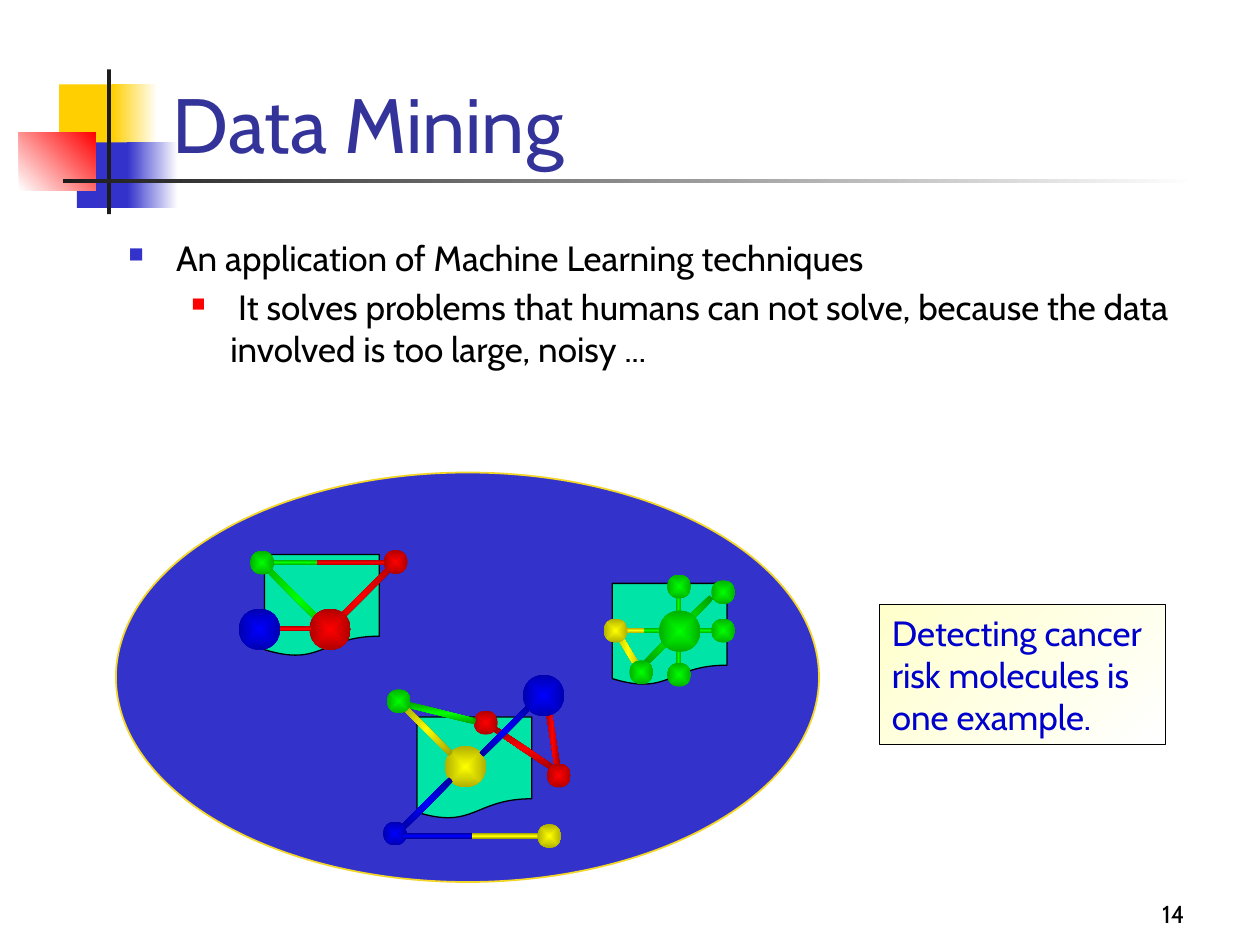
from dataclasses import dataclass

import lxml.etree
import pptx
import pptx.dml.color
import pptx.enum.shapes
import pptx.enum.text
import pptx.oxml.ns
import pptx.util

COLUMNS, ROWS = 100, 75
SHAPES = pptx.enum.shapes.MSO_SHAPE
ALIGN = pptx.enum.text.PP_ALIGN
ANCHOR = pptx.enum.text.MSO_ANCHOR


@dataclass(frozen=True)
class Theme:
    font: str = "Cabin"
    title_size: int = 44
    text_size: int = 20
    number_size: int = 14
    title: str = "333399"
    text: str = "000000"
    caption: str = "0000CC"
    white: str = "FFFFFF"
    cream: str = "FFFFCC"
    yellow: str = "FFCF01"
    blue: str = "3333CC"
    red: str = "FF0000"
    rule: str = "1C1C1C"
    oval_line: str = "F4D628"
    sheet: str = "00E4A8"


# Bright colour, dark edge of an atom, dark edge of a bond
ELEMENTS = {
    "red": ("FF0000", "AF0000", "9F0000"),
    "green": ("00FF00", "00AF00", "009F00"),
    "blue": ("0000FF", "0000AF", "00009F"),
    "yellow": ("FFFF00", "AFAF00", "9F9F00"),
}
SMALL, BIG, BOND_WIDTH = 1.9, 3.3, 0.45

# Each molecule: the sheet's corner, then parts from back to front.
# Atom: element, centre x, centre y, diameter.
# Bond: element, centre x, centre y, length, angle.
MOLECULES = [
    ((33.1, 56.9), [
        ("red", 41.55, 59.4, 5.5, 34), ("red", 38.55, 57.35, SMALL),
        ("red", 43.85, 58.4, 5.5, 81), ("yellow", 40.15, 66.35, 5.5, 0),
        ("yellow", 36.95, 60.85, BIG), ("blue", 40.15, 57.95, 5.5, 135),
        ("green", 35.05, 56.6, 5.5, 14), ("blue", 43.15, 55.2, BIG),
        ("blue", 33.85, 63.8, 5.5, 135), ("blue", 31.35, 66.15, SMALL),
        ("blue", 34.75, 66.35, 5.5, 0), ("yellow", 43.6, 66.35, SMALL),
        ("yellow", 33.85, 57.9, 5.5, 45), ("green", 31.65, 55.65, SMALL),
        ("red", 44.35, 61.55, SMALL),
    ]),
    ((21, 44), [
        ("red", 28.5, 47.55, 9.6, 135), ("green", 23.65, 47.55, 9.9, 45),
        ("green", 26.15, 44.65, 8.9, 0), ("red", 26.2, 49.95, BIG),
        ("red", 22.05, 49.9, 5.3, 0), ("blue", 20.6, 49.95, BIG),
        ("red", 31.4, 44.6, SMALL), ("red", 27.85, 44.65, 5.3, 0),
        ("green", 20.8, 44.65, SMALL),
    ]),
    ((48.6, 46.3), [
        ("yellow", 49.85, 51.65, 5.1, 58.7), ("green", 53.85, 50.05, 5.5, 0),
        ("green", 53.8, 50.05, 7.5, 135), ("green", 53.85, 50.05, 5.5, 90),
        ("green", 57.4, 47, SMALL), ("green", 57.4, 50.05, SMALL),
        ("green", 53.9, 53.55, SMALL), ("green", 53.9, 46.55, SMALL),
        ("green", 53.95, 50.1, BIG), ("green", 50.9, 53.35, SMALL),
        ("yellow", 50.3, 50.05, 1.6, 0), ("yellow", 48.85, 50.05, SMALL),
    ]),
]


def rgb(colour):
    return pptx.dml.color.RGBColor.from_string(colour)


def add_node(parent, tag, **attributes):
    node = lxml.etree.SubElement(parent, pptx.oxml.ns.qn(tag))
    for name, value in attributes.items():
        node.set(name, str(value))
    return node


class Page:
    def __init__(self, deck, theme):
        self.theme = theme
        self.column = deck.slide_width / COLUMNS
        self.row = deck.slide_height / ROWS
        self.slide = deck.slides.add_slide(deck.slide_layouts[5])

    def place(self, x, y, width, height):
        return (round(x * self.column), round(y * self.row),
                round(width * self.column), round(height * self.row))

    def shape(self, kind, area, colours, angle=None, line=None, weight=0.75):
        """Fill is plain for one colour, linear with an angle, else from the centre."""
        shape = self.slide.shapes.add_shape(kind, *self.place(*area))
        shape.shadow.inherit = False
        if len(colours) == 1:
            shape.fill.solid()
            shape.fill.fore_color.rgb = rgb(colours[0])
        else:
            self.gradient(shape, colours, angle)
        if line:
            shape.line.color.rgb = rgb(line)
            shape.line.width = pptx.util.Pt(weight)
        else:
            shape.line.fill.background()
        return shape

    def gradient(self, shape, colours, angle):
        shape.fill.gradient()
        fill = shape.element.spPr.find(pptx.oxml.ns.qn("a:gradFill"))
        for child in list(fill):
            fill.remove(child)
        stops = add_node(fill, "a:gsLst")
        for index, colour in enumerate(colours):
            position = index * 100000 // (len(colours) - 1)
            add_node(add_node(stops, "a:gs", pos=position), "a:srgbClr", val=colour)
        if angle is None:
            centre = add_node(fill, "a:path", path="shape")
            add_node(centre, "a:fillToRect", l=50000, t=50000, r=50000, b=50000)
        else:
            add_node(fill, "a:lin", ang=angle * 60000, scaled=0)

    def atom(self, element, x, y, size):
        bright, edge, _ = ELEMENTS[element]
        self.shape(SHAPES.OVAL, (x - size / 2, y - size / 2, size, size), (bright, edge))

    def bond(self, element, x, y, length, angle):
        bright, _, edge = ELEMENTS[element]
        area = (x - length / 2, y - BOND_WIDTH / 2, length, BOND_WIDTH)
        if angle % 90 == 0:
            bar = self.shape(SHAPES.RECTANGLE, area, (edge, bright, edge), 90)
        else:
            bar = self.shape(SHAPES.RECTANGLE, area, (bright, edge))
        bar.rotation = angle

    def molecule(self, corner, parts):
        self.shape(SHAPES.FLOWCHART_DOCUMENT, (*corner, 9.1, 8.1),
                   (self.theme.sheet,), line=self.theme.text)
        for part in parts:
            (self.bond if len(part) == 5 else self.atom)(*part)

    def fill_text(self, box, lines, size, colour, anchor=ANCHOR.TOP, align=ALIGN.LEFT, wrap=True):
        frame = box.text_frame
        frame.word_wrap = wrap
        frame.vertical_anchor = anchor
        frame.text = "\n".join(lines)
        for para in frame.paragraphs:
            para.alignment = align
            para.font.name = self.theme.font
            para.font.size = pptx.util.Pt(size)
            para.font.color.rgb = rgb(colour)
        return frame

    def title(self, text, area):
        box = self.slide.shapes.title
        box.left, box.top, box.width, box.height = self.place(*area)
        self.fill_text(box, [text], self.theme.title_size, self.theme.title, ANCHOR.BOTTOM)

    def text(self, lines, area, size, **options):
        box = self.slide.shapes.add_textbox(*self.place(*area))
        return self.fill_text(box, lines, size, self.theme.text, **options)

    def bullet(self, para, level, margin, hanging, colour, percent):
        para.level = level
        para.space_before = pptx.util.Pt(self.theme.text_size * 0.2)
        properties = para._p.get_or_add_pPr()
        properties.set("marL", str(pptx.util.Inches(margin)))
        properties.set("indent", str(-pptx.util.Inches(hanging)))
        add_node(add_node(properties, "a:buClr"), "a:srgbClr", val=colour)
        add_node(properties, "a:buSzPct", val=percent * 1000)
        add_node(properties, "a:buChar", char="■")

    def ornament(self):
        theme = self.theme
        for area, colours, angle in [
            ((4.7, 6.7, 4.8, 5.2), (theme.yellow,), None),
            ((8.9, 6.7, 3.6, 5.2), (theme.yellow, theme.white), 0),
            ((6.1, 11.3, 4.6, 5.2), (theme.blue,), None),
            ((10.1, 11.3, 4, 5.2), (theme.blue, theme.white), 0),
            ((1.5, 10.5, 6.1, 4.6), (theme.white, theme.red), 315),
            ((8.5, 5.5, 0.3, 11.5), (theme.rule,), None),
            ((5, 14.2, 90, 0.3), (theme.rule, theme.white), 0),
        ]:
            self.shape(SHAPES.RECTANGLE, area, colours, angle)


def main():
    deck = pptx.Presentation()
    deck.slide_width, deck.slide_height = pptx.util.Inches(10), pptx.util.Inches(7.5)
    theme = Theme()
    page = Page(deck, theme)
    page.ornament()
    page.text(["14"], (74.2, 69.2, 20.8, 5), theme.number_size,
              anchor=ANCHOR.BOTTOM, align=ALIGN.RIGHT)
    page.title("Data Mining", (12.7, 1.4, 85.2, 12.5))
    body = page.text([
        "An application of Machine Learning techniques",
        " It solves problems that humans can not solve, because the data "
        "involved is too large, noisy ...",
    ], (9.2, 18.3, 86.7, 14.2), theme.text_size)
    page.bullet(body.paragraphs[0], 0, 0.38, 0.38, theme.blue, 60)
    page.bullet(body.paragraphs[1], 1, 0.81, 0.31, theme.red, 55)

    page.shape(SHAPES.OVAL, (9.2, 37.5, 55.8, 32.5), (theme.blue,),
               line=theme.oval_line, weight=1)
    for corner, parts in MOLECULES:
        page.molecule(corner, parts)
    caption = page.shape(SHAPES.RECTANGLE, (69.8, 48, 22.7, 11.1),
                         (theme.cream, theme.white), 45, line=theme.text)
    page.fill_text(caption, ["Detecting cancer", "risk molecules is", "one example."],
                   theme.text_size, theme.caption, wrap=False)
    deck.save("out.pptx")


if __name__ == "__main__":
    main()
